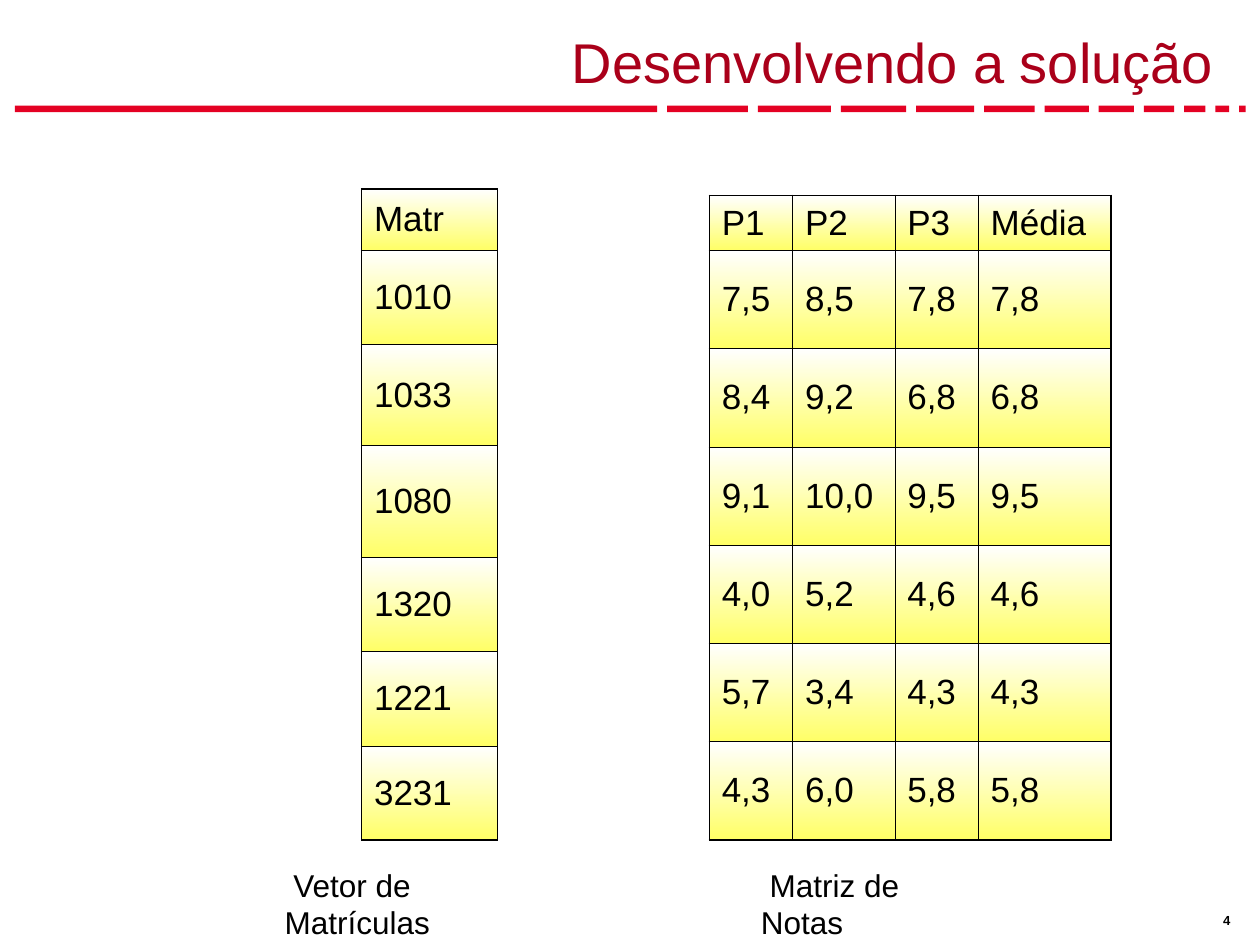
import pptx
import pptx.dml.color
import pptx.enum.shapes
import pptx.enum.text
import pptx.util
from lxml import etree
from pptx.util import Cm, Pt

# Content
TITLE = "Desenvolvendo a solução"
PAGE = "4"
TABLES = [
    {
        "rows": [["Matr"], ["1010"], ["1033"], ["1080"], ["1320"], ["1221"], ["3231"]],
        "at": (7.29, 3.81),
        "widths": [2.74],
        "heights": [1.24, 1.9, 2.03, 2.26, 1.9, 1.9, 1.9],
        "thick": "LTB",
    },
    {
        "rows": [
            ["P1", "P2", "P3", "Média"],
            ["7,5", "8,5", "7,8", "7,8"],
            ["8,4", "9,2", "6,8", "6,8"],
            ["9,1", "10,0", "9,5", "9,5"],
            ["4,0", "5,2", "4,6", "4,6"],
            ["5,7", "3,4", "4,3", "4,3"],
            ["4,3", "6,0", "5,8", "5,8"],
        ],
        "at": (14.3, 3.94),
        "widths": [1.68, 2.06, 1.68, 2.67],
        "heights": [1.11] + [1.98] * 6,
        "thick": "LRTB",
    },
]
CAPTIONS = [
    (" Vetor de Matrículas", (5.49, 17.32, 5.77, 1.02)),
    (" Matriz de Notas", (15.09, 17.32, 4.83, 1.02)),
]
DASH_WIDTHS = [12.95, 1.63, 1.47, 1.32, 1.17, 1.02, 0.89, 0.71, 0.61, 0.43, 0.28, 0.13]
DASH_LEFT, DASH_TOP, DASH_HEIGHT, DASH_GAP = 0.3, 2.13, 0.13, 0.2

# Theme
THEME = {
    "font": "Arial",
    "title": {"color": "AA001A", "size": 32},
    "cell": {"color": "000000", "size": 20},
    "caption": {"color": "000000", "size": 18},
    "page": {"color": "000000", "size": 7.5, "bold": True},
    "dash": "E40123",
    "cell_fill": ("FFFFFF", "FFFF66"),
    "border": "000000",
    "thin": 0.45,
    "thick": 1.08,
}


def rgb(value):
    return pptx.dml.color.RGBColor.from_string(value)


def write(tf, text, style, margins, **paragraph_format):
    """Put one styled paragraph in a text frame or table cell."""
    for side, value in zip(("left", "top", "right", "bottom"), margins):
        setattr(tf, "margin_" + side, Cm(value))
    p = getattr(tf, "text_frame", tf).paragraphs[0]
    for name, value in paragraph_format.items():
        setattr(p, name, value)
    r = p.add_run()
    r.text = text
    look = THEME[style]
    formats = {"name": THEME["font"], "size": Pt(look["size"]), "bold": look.get("bold", False)}
    for name, value in formats.items():
        setattr(r.font, name, value)
    r.font.color.rgb = rgb(look["color"])


def add_text(s, box, text, style, margins):
    tf = s.shapes.add_textbox(*map(Cm, box)).text_frame
    tf.word_wrap = True
    write(tf, text, style, margins)


def set_borders(cell, thick_sides):
    tc_pr = cell._tc.get_or_add_tcPr()
    for side in "LRTB":
        width = THEME["thick" if side in thick_sides else "thin"]
        ln = etree.SubElement(tc_pr, pptx.oxml.ns.qn("a:ln" + side), w=str(Pt(width)))
        fill = etree.SubElement(ln, pptx.oxml.ns.qn("a:solidFill"))
        etree.SubElement(fill, pptx.oxml.ns.qn("a:srgbClr"), val=THEME["border"])


def add_grid(s, rows, at, widths, heights, thick):
    box = (*at, sum(widths), sum(heights))
    table = s.shapes.add_table(len(rows), len(widths), *map(Cm, box)).table
    table.first_row = table.horz_banding = False
    for column, width in zip(table.columns, widths):
        column.width = Cm(width)
    for i, (row, height) in enumerate(zip(rows, heights)):
        table.rows[i].height = Cm(height)
        for j, text in enumerate(row):
            cell = table.cell(i, j)
            outer = {"L": j == 0, "R": j == len(row) - 1, "T": i == 0, "B": i == len(rows) - 1}
            set_borders(cell, [side for side in thick if outer[side]])
            cell.fill.gradient()
            cell.fill.gradient_angle = 270
            for stop, color in zip(cell.fill.gradient_stops, THEME["cell_fill"]):
                stop.color.rgb = rgb(color)
            cell.vertical_anchor = pptx.enum.text.MSO_ANCHOR.MIDDLE
            write(cell, text, "cell", (0.25, 0.17, 0.25, 0.13), line_spacing=0.95)


def main():
    prs = pptx.Presentation()
    prs.slide_width, prs.slide_height = Cm(25.4), Cm(19.05)
    s = prs.slides.add_slide(prs.slide_layouts[5])

    # Title
    title = s.shapes.title
    title.left, title.top, title.width, title.height = map(Cm, (0.79, 0.2, 23.93, 1.85))
    tf = title.text_frame
    tf.auto_size = pptx.enum.text.MSO_AUTO_SIZE.NONE
    tf.vertical_anchor = pptx.enum.text.MSO_ANCHOR.BOTTOM
    write(tf, TITLE, "title", (0.25, 0.13, 0.25, 0.13), alignment=pptx.enum.text.PP_ALIGN.RIGHT)

    # Rule of shrinking dashes
    rule = s.shapes.add_group_shape()
    left = DASH_LEFT
    for width in DASH_WIDTHS:
        dash = rule.shapes.add_shape(
            pptx.enum.shapes.MSO_SHAPE.RECTANGLE,
            *map(Cm, (left, DASH_TOP, width, DASH_HEIGHT)))
        dash.shadow.inherit = False
        dash.fill.solid()
        dash.fill.fore_color.rgb = rgb(THEME["dash"])
        dash.line.fill.background()
        left += width + DASH_GAP

    # Tables, captions and page number
    for table in TABLES:
        add_grid(s, **table)
    for text, box in CAPTIONS:
        add_text(s, box, text, "caption", (0.25, 0.13, 0.25, 0.13))
    add_text(s, (24.46, 18.29, 0.84, 0.51), PAGE, "page", (0.2, 0.1, 0.2, 0.1))

    prs.save("out.pptx")


if __name__ == "__main__":
    main()
